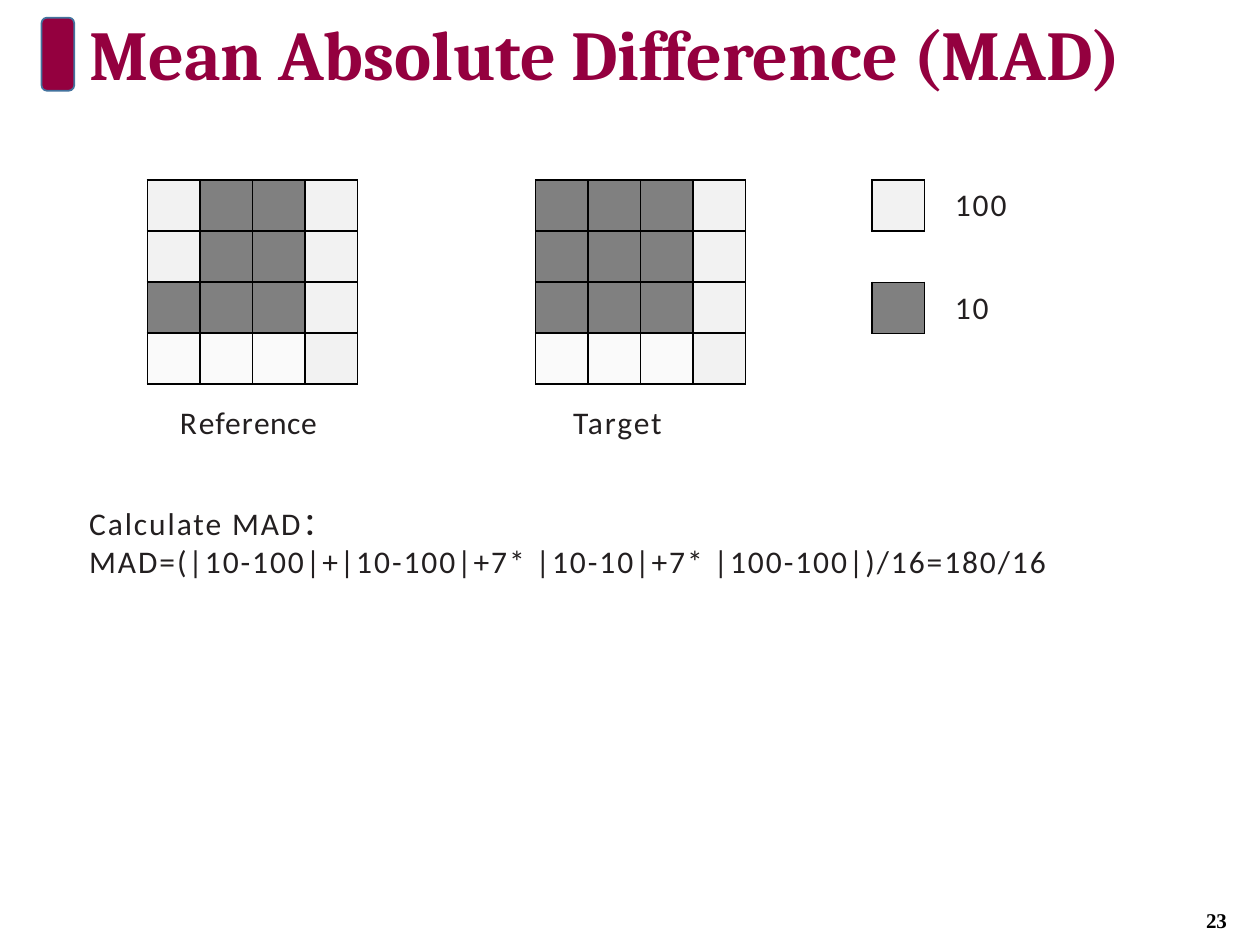
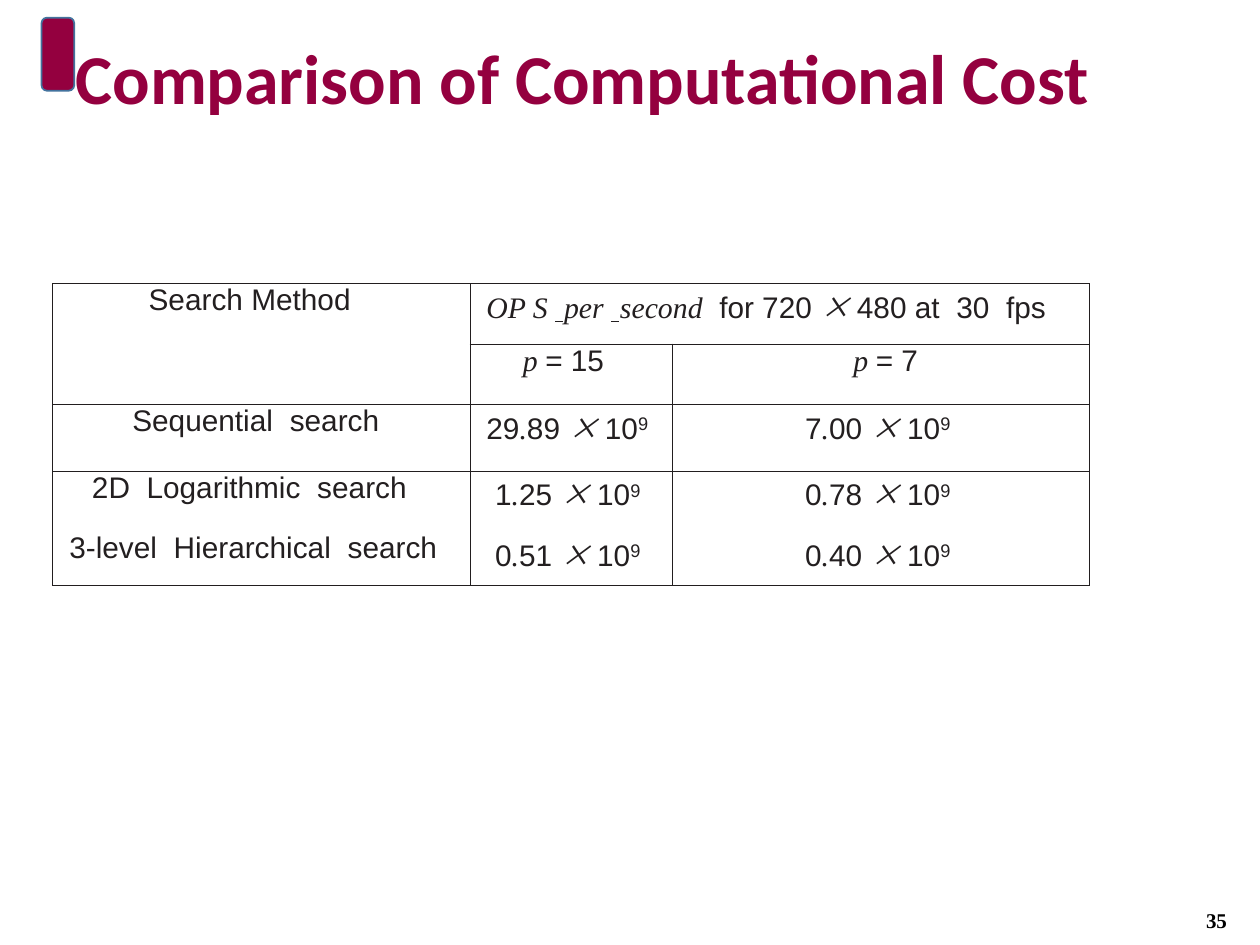
"""Build two slides on block matching: the MAD example and the search costs."""
from lxml.etree import SubElement
from pptx import Presentation
from pptx.dml.color import RGBColor
from pptx.enum.shapes import MSO_SHAPE
from pptx.enum.text import MSO_ANCHOR, MSO_AUTO_SIZE, PP_ALIGN
from pptx.oxml import parse_xml
from pptx.oxml.ns import nsdecls, qn
from pptx.util import Inches, Pt

HUES = {"wine": "94003F", "edge": "43739E", "black": "000000", "ink": "231F20",
        "rule": "221E1F", "light": "F2F2F2", "dark": "808080", "pale": "FAFAFA"}
CODES = {"L": "light", "D": "dark", "P": "pale"}

GRIDS = [
    (1.17, 1.43, ["LDDL", "LDDL", "DDDL", "PPPL"]),
    (4.25, 1.43, ["DDDL", "DDDL", "DDDL", "PPPL"]),
    (6.92, 1.43, ["L"]),
    (6.92, 2.24, ["D"]),
]
LABELS = [
    (1.33, 3.15, 1.44, 0.4, [[("R", 1.1), ("efer", 0.6), ("ence", 0.3)]]),
    (4.45, 3.15, 1, 0.4, [[("Target", 1.1)]]),
    (7.48, 1.42, 0.67, 0.4, [[("100", 1.1)]]),
    (7.48, 2.24, 0.51, 0.4, [[("10", 1.1)]]),
    (0.61, 3.95, 7.93, 0.71, [
        [("Calculate MAD：", 1.1)],
        [("MAD=(|10-100|+|10-100|+7* |10-10|+7* |100-100|)/16=180/16", 1.1)]]),
]

GAP = ("gap", " ")
BAR = ("bar", " ")
CROSS = ("cross", "× ")
HEAD = [("math", "OP S "), BAR, ("math", "per "), BAR, ("math", "second"), GAP,
        ("text", "for 720 "), CROSS, ("text", "480 at"), GAP, ("text", "30"),
        GAP, ("text", "fps")]
COSTS = [
    (["Sequential", "search"], 0.63, "29.89", 0.13, "7.00"),
    (["2D", "Logarithmic", "search"], 0.31, "1.25", 0.2, "0.78"),
    (["3-level", "Hierarchical", "search"], 0.13, "0.51", 0.2, "0.40"),
]
COLS = [3.31, 1.61, 3.31]
ROWS = [0.48, 0.48, 0.53, 0.48, 0.43]


def tint(name):
    return RGBColor.from_string(HUES[name])


def style(font, face, size, hue, bold=None):
    font.name, font.size, font.bold = face, Pt(size), bold
    font.color.rgb = tint(hue)


def space(run, points):
    run.font._rPr.set("spc", str(round(points * 100)))


def put(slide, x, y, w, h):
    box = slide.shapes.add_textbox(*map(Inches, (x, y, w, h)))
    box.text_frame.word_wrap = True
    return box.text_frame


def start(deck, title, face, x, y, page):
    slide = deck.slides.add_slide(deck.slide_layouts[6])
    mark = slide.shapes.add_shape(MSO_SHAPE.ROUNDED_RECTANGLE,
                                  *map(Inches, (0.33, 0.14, 0.26, 0.58)))
    mark.shadow.inherit = False
    mark.fill.solid()
    mark.fill.fore_color.rgb = tint("wine")
    mark.line.color.rgb = tint("edge")
    mark.line.width = Pt(1)

    para = put(slide, x, y, 8.42, 1.25).paragraphs[0]
    para.text, para.line_spacing = title, 0.9
    style(para.font, face, 40, "wine", True)

    frame = put(slide, 9.23, 7.1, 0.85, 0.4)
    frame.vertical_anchor = MSO_ANCHOR.MIDDLE
    para = frame.paragraphs[0]
    para.text, para.alignment = page, PP_ALIGN.CENTER
    style(para.font, "Times New Roman", 12, "black", True)
    return slide


def border(cell, hue, width, skip=""):
    props = cell._tc.get_or_add_tcPr()
    for spot, side in enumerate("LRTB"):
        paint = ("<a:noFill/>" if side in skip else
                 f'<a:solidFill><a:srgbClr val="{HUES[hue]}"/></a:solidFill>')
        props.insert(spot, parse_xml(
            f'<a:ln{side} {nsdecls("a")} w="{Pt(width)}">{paint}</a:ln{side}>'))


def table(slide, x, y, cols, rows):
    frame = slide.shapes.add_table(
        len(rows), len(cols), *map(Inches, (x, y, sum(cols), sum(rows))))
    made = frame.table
    made.first_row = made.horz_banding = False
    for col, wide in zip(made.columns, cols):
        col.width = Inches(wide)
    for row, high in zip(made.rows, rows):
        row.height = Inches(high)
    return made


def grid(slide, x, y, codes):
    high = 0.405
    made = table(slide, x, y, [0.417] * len(codes[0]), [high] * len(codes))
    for r, line in enumerate(codes):
        for c, code in enumerate(line):
            cell = made.cell(r, c)
            cell.fill.solid()
            cell.fill.fore_color.rgb = tint(CODES[code])
            border(cell, "black", 1)


def label(slide, x, y, w, h, lines):
    frame = put(slide, x, y, w, h)
    frame.word_wrap = False
    frame.auto_size = MSO_AUTO_SIZE.SHAPE_TO_FIT_TEXT
    for n, line in enumerate(lines):
        para = frame.add_paragraph() if n else frame.paragraphs[0]
        style(para.font, "Calibri", 18, "ink")
        for text, gap in line:
            run = para.add_run()
            run.text = text
            space(run, gap)


def write(cell, indent, parts, align=None):
    para = cell.text_frame.paragraphs[0]
    para.alignment = align
    para._p.get_or_add_pPr().set("marL", str(Inches(indent)))
    style(para.font, "Arial", 17, "ink")
    for kind, text in parts:
        run = para.add_run()
        run.text = text
        font = run.font
        if kind in ("math", "bar"):
            font.name, font.italic = "Times New Roman", True
        if kind == "bar":
            font.underline = True
            space(run, 0.7)
        elif kind == "gap":
            space(run, 4.7)
        elif kind == "cross":
            font.name, font.italic = "Noto Sans CJK JP", True
            SubElement(font._rPr, qn("a:ea")).set("typeface", font.name)
        elif kind == "power":
            font.size = Pt(18)
            font._rPr.set("baseline", "28000")


def spread(words):
    parts = [("text", words[0])]
    for word in words[1:]:
        parts += [GAP, ("text", word)]
    return parts


def power(value):
    whole, rest = value.split(".")
    return [("text", whole), ("math", "."), ("text", rest + " "), CROSS,
            ("text", "10"), ("power", "9")]


def prob(value):
    return [("math", "p "), ("text", f"= {value}")]


def costs(slide):
    made = table(slide, 0.42, 2.25, COLS, ROWS)
    skips = {3: "B", 4: "T"}
    for r in range(len(ROWS)):
        for c in range(len(COLS)):
            cell = made.cell(r, c)
            cell.margin_left = cell.margin_right = 0
            cell.margin_top = cell.margin_bottom = 0
            cell.fill.background()
            border(cell, "rule", 0.6, skips.get(r, ""))
    made.cell(0, 0).merge(made.cell(1, 0))
    made.cell(0, 1).merge(made.cell(0, 2))
    write(made.cell(0, 0), 0.76, [("text", "Search Method")])
    write(made.cell(0, 1), 0.13, HEAD)
    write(made.cell(1, 1), 0.42, prob(15))
    write(made.cell(1, 2), 0.07, prob(7), PP_ALIGN.CENTER)
    for r, (words, left, far, inset, near) in enumerate(COSTS, 2):
        write(made.cell(r, 0), left, spread(words))
        write(made.cell(r, 1), inset, power(far))
        write(made.cell(r, 2), 1.05, power(near))


def main():
    deck = Presentation()
    deck.slide_width, deck.slide_height = Inches(10), Inches(7.5)
    slide = start(deck, "Mean Absolute Difference (MAD)", "Cambria",
                  0.61, 0.11, "23")
    for item in GRIDS:
        grid(slide, *item)
    for item in LABELS:
        label(slide, *item)
    costs(start(deck, "Comparison of Computational Cost", "Calibri",
                0.5, 0.3, "35"))
    deck.save("out.pptx")


if __name__ == "__main__":
    main()
